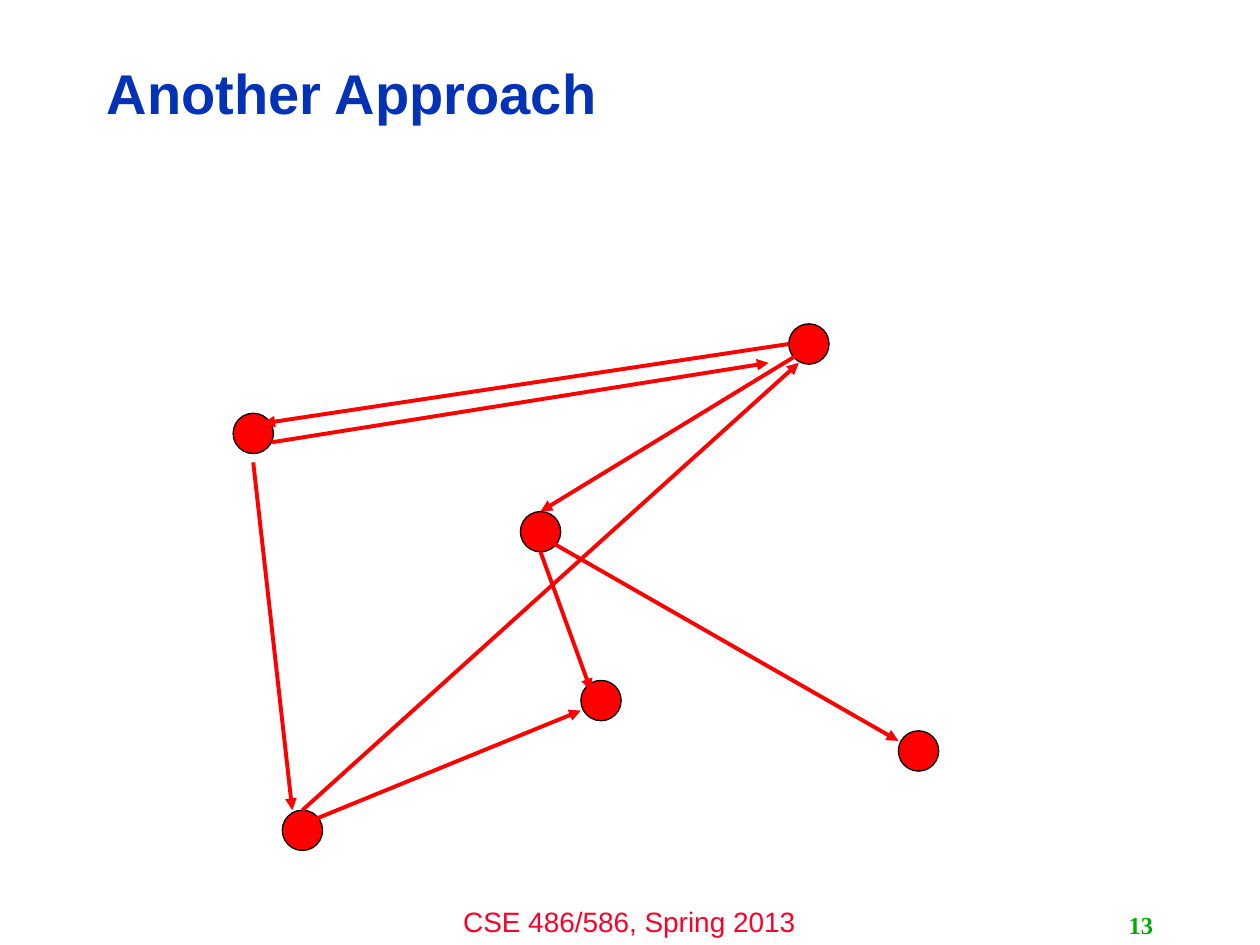
from lxml.etree import SubElement
from pptx import Presentation
from pptx.dml.color import RGBColor
from pptx.enum.shapes import MSO_CONNECTOR, MSO_SHAPE
from pptx.enum.text import MSO_ANCHOR, PP_ALIGN
from pptx.oxml.ns import qn
from pptx.util import Inches, Pt

presentation = Presentation()
presentation.slide_width = Inches(10)
presentation.slide_height = Inches(7.5)
slide = presentation.slides.add_slide(presentation.slide_layouts[6])

# Grid of 100 columns by 75 rows
COLUMN = presentation.slide_width / 100
ROW = presentation.slide_height / 75
NODE_SIZE = 3.2


def place(*lengths):
    """Turn alternating column and row counts into slide lengths."""
    return [round(length * (ROW if index % 2 else COLUMN))
            for index, length in enumerate(lengths)]


def color(hex_string):
    return RGBColor.from_string(hex_string)


# Footer, title and slide number
texts = [
    ("CSE 486/586, Spring 2013", (33.3, 71.3, 33.3, 3.7), "Arial", 16, "FC0128",
     False, PP_ALIGN.CENTER, MSO_ANCHOR.TOP, 1.0),
    ("Another Approach", (7.5, 3.6, 79.8, 8.1), "Arial", 32, "0332B7",
     True, PP_ALIGN.LEFT, MSO_ANCHOR.MIDDLE, 0.9),
    ("13", (71.7, 71.8, 20.8, 3.2), "Times New Roman", 14, "00AE00",
     True, PP_ALIGN.RIGHT, MSO_ANCHOR.MIDDLE, 1.0),
]
for text, box, font, size, text_color, bold, align, anchor, spacing in texts:
    frame = slide.shapes.add_textbox(*place(*box)).text_frame
    frame.word_wrap = True
    frame.vertical_anchor = anchor
    paragraph = frame.paragraphs[0]
    paragraph.alignment = align
    paragraph.line_spacing = spacing
    run = paragraph.add_run()
    run.text = text
    run.font.name = font
    run.font.size = Pt(size)
    run.font.bold = bold
    run.font.color.rgb = color(text_color)

# Nodes, by left and top
nodes = [(18.5, 32.8), (46.1, 54), (22.4, 64.3),
         (71.3, 58), (41.3, 40.6), (62.6, 25.7)]
for left, top in nodes:
    node = slide.shapes.add_shape(
        MSO_SHAPE.OVAL, *place(left, top, NODE_SIZE, NODE_SIZE))
    node.shadow.inherit = False
    node.fill.solid()
    node.fill.fore_color.rgb = color("FF0000")
    node.line.color.rgb = color("000000")
    node.line.width = Pt(0.75)

# Arrows, from start to head
arrows = [
    (24.8, 65.1, 46.1, 56.4),
    (24, 64.3, 63.4, 28.8),
    (42.9, 43.8, 46.9, 54.8),
    (43.7, 43, 71.3, 58.8),
    (62.6, 27.3, 20.9, 33.6),
    (20.1, 36.7, 23.2, 64.3),
    (21.6, 35.1, 61, 28.8),
    (63.4, 28.1, 42.9, 40.6),
]
for ends in arrows:
    arrow = slide.shapes.add_connector(MSO_CONNECTOR.STRAIGHT, *place(*ends))
    arrow.line.color.rgb = color("FF0000")
    arrow.line.width = Pt(2.25)
    SubElement(arrow.line._get_or_add_ln(), qn("a:tailEnd"), type="triangle")
    SubElement(arrow._element.spPr, qn("a:effectLst"))

presentation.save("out.pptx")
